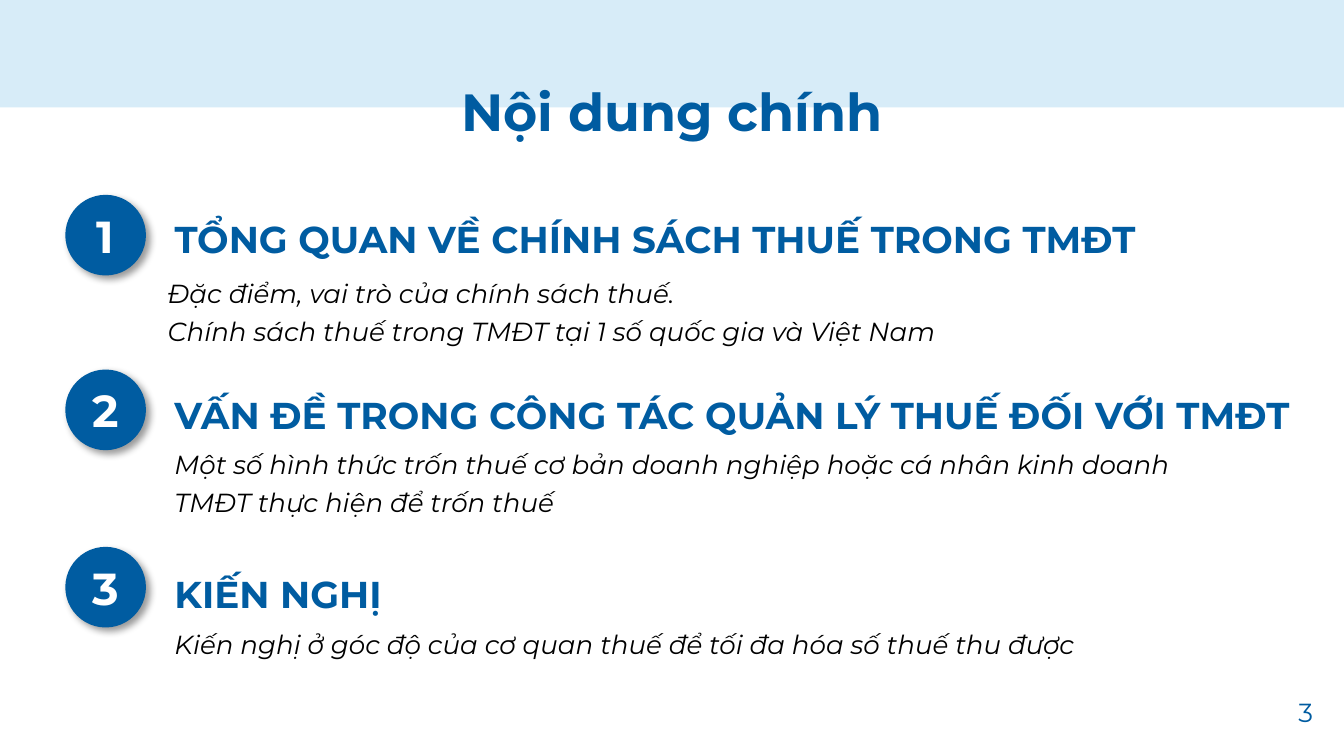
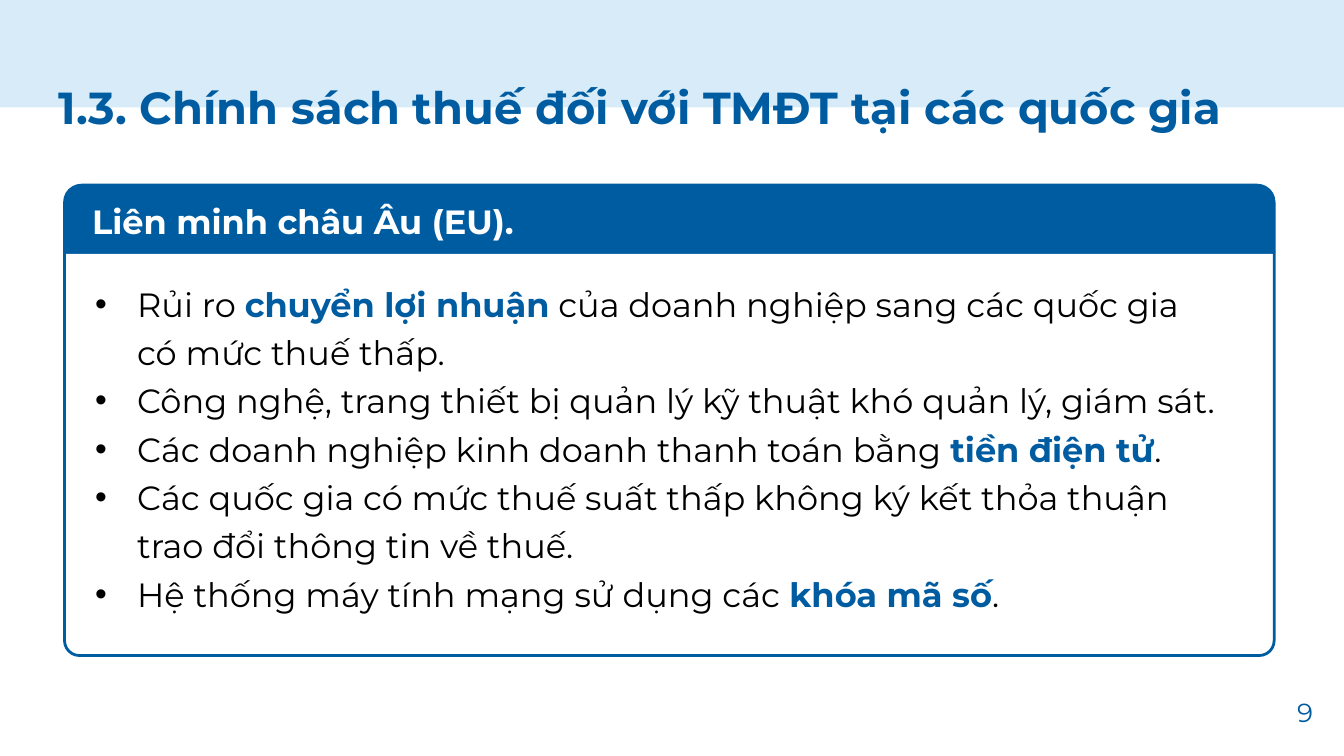
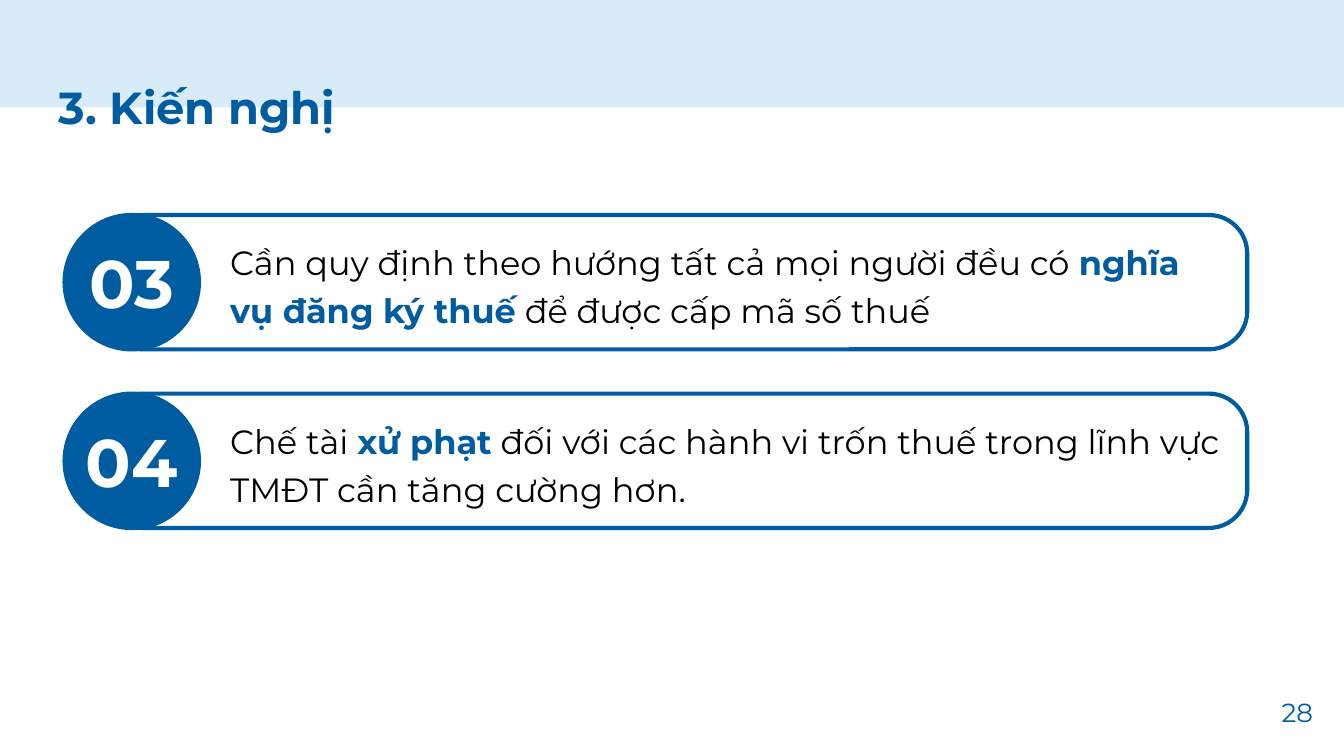
from dataclasses import dataclass

from lxml import etree
from pptx import Presentation
from pptx.dml.color import RGBColor
from pptx.enum.shapes import MSO_SHAPE
from pptx.enum.text import MSO_ANCHOR, PP_ALIGN
from pptx.oxml.ns import qn
from pptx.util import Pt

RECT, OVAL = MSO_SHAPE.RECTANGLE, MSO_SHAPE.OVAL
ROUNDED, ROUND_TWO = MSO_SHAPE.ROUNDED_RECTANGLE, MSO_SHAPE.ROUND_2_SAME_RECTANGLE
LEFT, CENTER, RIGHT = PP_ALIGN.LEFT, PP_ALIGN.CENTER, PP_ALIGN.RIGHT
TOP, MIDDLE = MSO_ANCHOR.TOP, MSO_ANCHOR.MIDDLE


@dataclass(frozen=True)
class Theme:
    font: str = "Montserrat"
    blue: str = "005CA1"
    band: str = "D7ECF8"
    white: str = "FFFFFF"
    black: str = "000000"
    agenda_title: int = 28
    title: int = 24
    badge: int = 24
    heading: int = 20
    body: int = 18
    small: int = 14
    big_number: int = 36
    spacing: float = 1.2


THEME = Theme()

# Positions are (left, top, width, height) in points; *stars* mark emphasis.
AGENDA = {
    "title": "Nội dung chính",
    "page": 3,
    "sections": [
        {
            "badge_top": 104.4,
            "heading": "TỔNG QUAN VỀ CHÍNH SÁCH THUẾ TRONG TMĐT",
            "heading_at": (86.4, 107.3, 569, 34),
            "details": [
                "Đặc điểm, vai trò của chính sách thuế.",
                "Chính sách thuế trong TMĐT tại 1 số quốc gia và Việt Nam",
            ],
            "details_at": (82.8, 141.8, 576, 46),
        },
        {
            "badge_top": 198,
            "heading": "VẤN ĐỀ TRONG CÔNG TÁC QUẢN LÝ THUẾ ĐỐI VỚI TMĐT",
            "heading_at": (86.4, 201.6, 619.2, 63),
            "details": [
                "Một số hình thức trốn thuế cơ bản doanh nghiệp hoặc cá nhân "
                "kinh doanh TMĐT thực hiện để trốn thuế",
            ],
            "details_at": (86.4, 233.3, 576, 46),
        },
        {
            "badge_top": 293,
            "heading": "KIẾN NGHỊ",
            "heading_at": (86.4, 297.4, 540, 34),
            "details": [
                "Kiến nghị ở góc độ của cơ quan thuế để tối đa hóa số thuế thu được",
            ],
            "details_at": (86.4, 329.8, 576, 26),
        },
    ],
}
COUNTRIES = {
    "title": "1.3. Chính sách thuế đối với TMĐT tại các quốc gia",
    "page": 9,
    "region": "Liên minh châu Âu (EU).",
    "risks": [
        "Rủi ro *chuyển lợi nhuận* của doanh nghiệp sang các quốc gia có mức thuế thấp.",
        "Công nghệ, trang thiết bị quản lý kỹ thuật khó quản lý, giám sát.",
        "Các doanh nghiệp kinh doanh thanh toán bằng *tiền điện tử*.",
        "Các quốc gia có mức thuế suất thấp không ký kết thỏa thuận trao đổi "
        "thông tin về thuế.",
        "Hệ thống máy tính mạng sử dụng các *khóa mã số*.",
    ],
}
PROPOSALS = {
    "title": "3. Kiến nghị",
    "page": 28,
    "items": [
        ("03", "Cần quy định theo hướng tất cả mọi người đều có "
               "*nghĩa vụ đăng ký thuế* để được cấp mã số thuế"),
        ("04", "Chế tài *xử phạt* đối với các hành vi trốn thuế trong lĩnh vực "
               "TMĐT cần tăng cường hơn."),
    ],
}


def rgb(color):
    return RGBColor.from_string(color)


def write(holder, paragraphs, *, size, color=THEME.black, bold=False, italic=False,
          align=LEFT, anchor=TOP, spacing=None, inset=(7.2, 3.6), indent=0, bullet=False):
    frame = holder.text_frame
    frame.word_wrap = True
    frame.vertical_anchor = anchor
    frame.margin_left = frame.margin_right = Pt(inset[0])
    frame.margin_top = frame.margin_bottom = Pt(inset[1])
    for index, text in enumerate(paragraphs):
        paragraph = frame.add_paragraph() if index else frame.paragraphs[0]
        if indent:
            properties = paragraph._p.get_or_add_pPr()
            properties.set("marL", str(Pt(indent)))
            if bullet:
                add_bullet(properties, indent)
        paragraph.alignment = align
        if spacing:
            paragraph.line_spacing = spacing
        for part, words in enumerate(text.split("*")):
            if not words:
                continue
            emphasis = part % 2 == 1
            run = paragraph.add_run()
            run.text = words
            run.font.name = THEME.font
            run.font.size = Pt(size)
            run.font.bold = bold or emphasis
            run.font.italic = italic
            run.font.color.rgb = rgb(THEME.blue if emphasis else color)


def add_bullet(properties, indent):
    properties.set("indent", str(-Pt(indent)))
    bullet_color = etree.SubElement(properties, qn("a:buClr"))
    etree.SubElement(bullet_color, qn("a:srgbClr"), val=THEME.black)
    etree.SubElement(properties, qn("a:buFont"), typeface="Arial")
    etree.SubElement(properties, qn("a:buChar"), char="•")


def add_text(shapes, at, paragraphs, **style):
    write(shapes.add_textbox(*map(Pt, at)), paragraphs, **style)


def add_panel(shapes, kind, at, fill=None, line_width=0, corners=()):
    panel = shapes.add_shape(kind, *map(Pt, at))
    panel.shadow.inherit = False
    for index, corner in enumerate(corners):
        panel.adjustments[index] = corner
    if fill:
        panel.fill.solid()
        panel.fill.fore_color.rgb = rgb(fill)
    else:
        panel.fill.background()
    if line_width:
        panel.line.color.rgb = rgb(THEME.blue)
        panel.line.width = Pt(line_width)
    else:
        panel.line.fill.background()
    return panel


def cast_shadow(panel):
    """Give the panel a soft shadow towards the lower right."""
    effects = panel._element.spPr.find(qn("a:effectLst"))
    shadow = etree.SubElement(effects, qn("a:outerShdw"), blurRad=str(Pt(4)),
                              dist=str(Pt(3)), dir="2700000", algn="tl", rotWithShape="0")
    shade = etree.SubElement(shadow, qn("a:srgbClr"), val=THEME.black)
    etree.SubElement(shade, qn("a:alpha"), val="40000")


def start_slide(prs, content, title_size=THEME.title, align=LEFT):
    """Add a slide with the shared band, title and page number."""
    shapes = prs.slides.add_slide(prs.slide_layouts[6]).shapes
    add_panel(shapes, RECT, (0, 0, 720, 57.6), THEME.band)
    add_text(shapes, (24.5, 35.3, 671, 50.4), [content["title"]], size=title_size,
             color=THEME.blue, bold=True, align=align, inset=(7.2, 7.2))
    add_text(shapes, (667.4, 367.2, 43.2, 31), [str(content["page"])], size=THEME.small,
             color=THEME.blue, align=RIGHT, anchor=MIDDLE, spacing=0.9, inset=(7.2, 7.2))
    return shapes


def build_agenda(prs):
    shapes = start_slide(prs, AGENDA, THEME.agenda_title, CENTER)
    for number, section in enumerate(AGENDA["sections"], 1):
        add_text(shapes, section["heading_at"], [section["heading"]], size=THEME.heading,
                 color=THEME.blue, bold=True, spacing=THEME.spacing)
        add_text(shapes, section["details_at"], section["details"], size=THEME.small,
                 italic=True, spacing=THEME.spacing)
        badge = add_panel(shapes, OVAL, (35, section["badge_top"], 43.2, 43.2), THEME.blue)
        cast_shadow(badge)
        write(badge, [str(number)], size=THEME.badge, color=THEME.white, bold=True,
              align=CENTER, anchor=MIDDLE)


def build_countries(prs):
    shapes = start_slide(prs, COUNTRIES)
    left, top, width, header_height = 34.6, 99.2, 648, 36
    add_text(shapes, (43.9, 144, 619.2, 188.6), COUNTRIES["risks"], size=THEME.body,
             spacing=THEME.spacing, indent=22.5, bullet=True)
    header = add_panel(shapes, ROUND_TWO, (left, top, width, header_height), THEME.blue,
                       line_width=1.5, corners=(0.253, 0))
    write(header, [COUNTRIES["region"]], size=THEME.body, color=THEME.white, bold=True,
          anchor=MIDDLE, indent=5)
    add_panel(shapes, ROUND_TWO, (left, top + header_height, width, 216),
              line_width=1.5, corners=(0, 0.037))


def build_proposals(prs):
    shapes = start_slide(prs, PROPOSALS)
    left, first_top, size, pitch = 34.6, 115.2, 72, 95.7
    for index, (number, proposal) in enumerate(PROPOSALS["items"]):
        top = first_top + index * pitch
        group = shapes.add_group_shape().shapes
        card = add_panel(group, ROUNDED, (left + 21.6, top, 612, size), THEME.white,
                         line_width=2.25, corners=(0.286,))
        write(card, [proposal], size=THEME.body, anchor=MIDDLE,
              spacing=THEME.spacing, indent=54)
        add_panel(group, OVAL, (left, top, size, size), THEME.blue, line_width=2.25)
        add_text(group, (left, top + 10.8, size, 50.4), [number], size=THEME.big_number,
                 color=THEME.white, bold=True, align=CENTER)


def main():
    prs = Presentation()
    prs.slide_width, prs.slide_height = Pt(720), Pt(405)
    build_agenda(prs)
    build_countries(prs)
    build_proposals(prs)
    prs.save("out.pptx")


if __name__ == "__main__":
    main()
